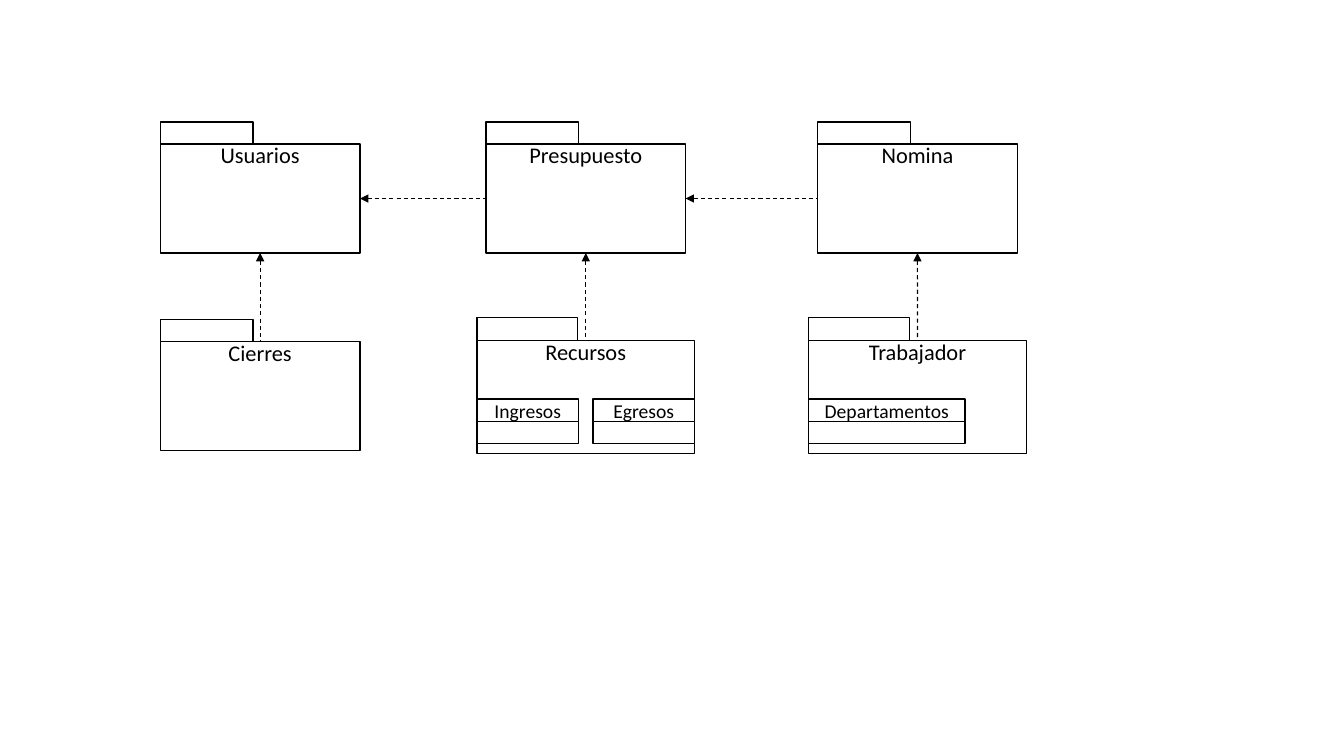
from lxml import etree
from pptx import Presentation
from pptx.dml.color import RGBColor
from pptx.enum.dml import MSO_LINE
from pptx.enum.shapes import MSO_CONNECTOR, MSO_SHAPE
from pptx.enum.text import MSO_ANCHOR, PP_ALIGN
from pptx.oxml.ns import qn
from pptx.util import Inches, Pt

RECTANGLE = MSO_SHAPE.RECTANGLE
STRAIGHT = MSO_CONNECTOR.STRAIGHT
DASH = MSO_LINE.DASH
TOP, MIDDLE = MSO_ANCHOR.TOP, MSO_ANCHOR.MIDDLE
CENTER = PP_ALIGN.CENTER
COLORS = {"fill": "FFFFFF", "ink": "000000"}
FILL = RGBColor.from_string(COLORS["fill"])
INK = RGBColor.from_string(COLORS["ink"])
# Connection sites of a rectangle
SITE_TOP, SITE_LEFT, SITE_BOTTOM, SITE_RIGHT = range(4)

presentation = Presentation()
presentation.slide_width = Inches(13.33)
presentation.slide_height = Inches(7.5)
slide = presentation.slides.add_slide(presentation.slide_layouts[6])


def add_box(left, top, width, height, label="", size=16, anchor=MIDDLE, line_spacing=None):
    shape = slide.shapes.add_shape(
        RECTANGLE, Inches(left), Inches(top), Inches(width), Inches(height))
    shape.shadow.inherit = False
    shape.fill.solid()
    shape.fill.fore_color.rgb = FILL
    shape.line.color.rgb = INK
    shape.line.width = Pt(1)
    if label:
        frame = shape.text_frame
        frame.word_wrap = True
        frame.vertical_anchor = anchor
        frame.margin_left = frame.margin_right = 0
        frame.margin_top = frame.margin_bottom = 0
        paragraph = frame.paragraphs[0]
        paragraph.alignment = CENTER
        paragraph.line_spacing = line_spacing
        run = paragraph.add_run()
        run.text = label
        run.font.name = "Calibri"
        run.font.size = Pt(size)
        run.font.color.rgb = INK
    return shape


# Packages: a body with its name at the top, and a tab above it
packages = {}
for name, left, top, width, height, tab_width, tab_height in [
    ("Usuarios", 1.59, 1.43, 1.98, 1.08, 0.92, 0.22),
    ("Presupuesto", 4.82, 1.43, 1.98, 1.08, 0.92, 0.22),
    ("Nomina", 8.11, 1.43, 1.98, 1.08, 0.92, 0.22),
    ("Cierres", 1.59, 3.39, 1.98, 1.08, 0.92, 0.22),
    ("Recursos", 4.73, 3.38, 2.16, 1.12, 1, 0.23),
    ("Trabajador", 8.02, 3.38, 2.16, 1.12, 1, 0.23),
]:
    packages[name] = add_box(left, top, width, height, name, 16, TOP, Pt(17))
    add_box(left, top - tab_height, tab_width, tab_height)

# Classes: a name row over an empty row
for name, left, width in [
    ("Ingresos", 4.73, 1.01),
    ("Egresos", 5.88, 1.01),
    ("Departamentos", 8.02, 1.55),
]:
    add_box(left, 3.96, width, 0.22, name, 14)
    add_box(left, 4.18, width, 0.22)

# Dependencies: dashed lines with the arrowhead at the first package
for target, target_site, source, source_site in [
    ("Usuarios", SITE_RIGHT, "Presupuesto", SITE_LEFT),
    ("Presupuesto", SITE_RIGHT, "Nomina", SITE_LEFT),
    ("Usuarios", SITE_BOTTOM, "Cierres", SITE_TOP),
    ("Presupuesto", SITE_BOTTOM, "Recursos", SITE_TOP),
    ("Nomina", SITE_BOTTOM, "Trabajador", SITE_TOP),
]:
    connector = slide.shapes.add_connector(STRAIGHT, 0, 0, 0, 0)
    connector.begin_connect(packages[target], target_site)
    connector.end_connect(packages[source], source_site)
    connector.line.color.rgb = INK
    connector.line.width = Pt(0.75)
    connector.line.dash_style = DASH
    properties = connector._element.spPr
    etree.SubElement(properties.find(qn("a:ln")), qn("a:headEnd"), type="triangle")
    etree.SubElement(properties, qn("a:effectLst"))

presentation.save("out.pptx")
